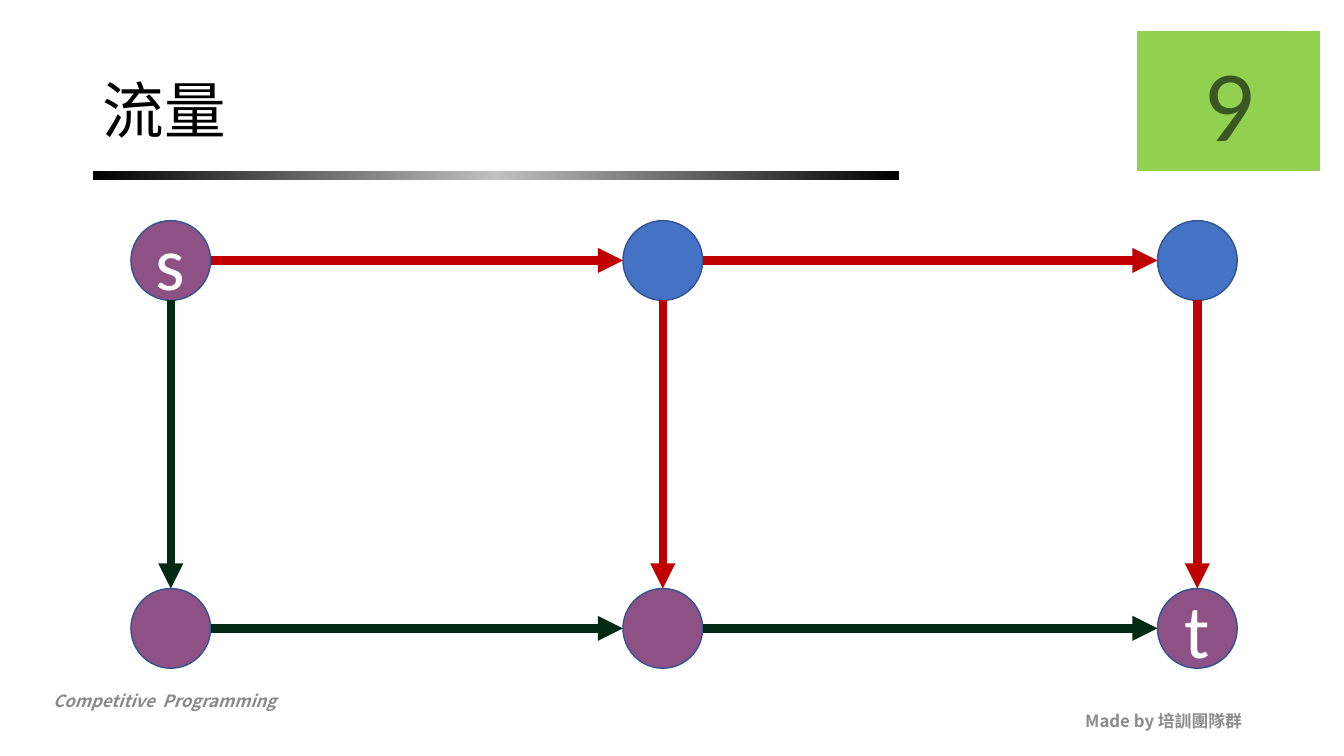
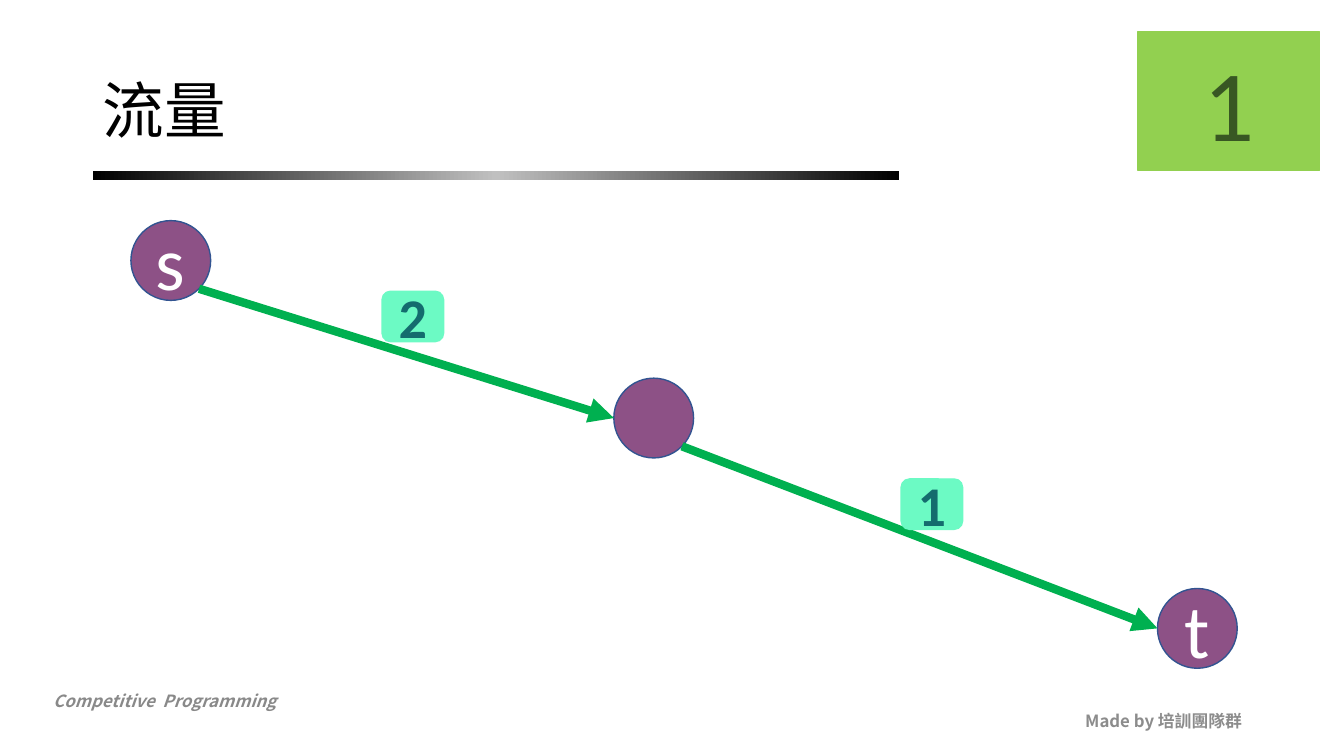
from copy import deepcopy
from dataclasses import dataclass

from lxml.etree import SubElement
from pptx import Presentation
from pptx.dml.color import RGBColor
from pptx.enum.shapes import MSO_CONNECTOR, MSO_SHAPE
from pptx.enum.text import MSO_ANCHOR, MSO_AUTO_SIZE, PP_ALIGN
from pptx.oxml.ns import qn
from pptx.util import Cm, Pt


@dataclass(frozen=True)
class Theme:
    latin: str = "Calibri"
    cjk: str = "Noto Sans CJK SC"
    black: str = "000000"
    silver: str = "C0C0C0"
    white: str = "FFFFFF"
    footer: str = "898989"
    credit: str = "8C8C8C"
    purple: str = "8D5186"
    blue: str = "4472C4"
    outline: str = "325491"
    red: str = "C00000"
    dark_green: str = "002A13"
    green: str = "00B050"
    badge: str = "92D050"
    badge_text: str = "385723"
    label: str = "6CFAC4"
    label_text: str = "146C6E"
    title_size: int = 44
    footer_size: int = 12
    node_size: int = 54
    label_size: int = 40
    badge_size: int = 72
    arrow_width: int = 6


theme = Theme()


def write(shape, text, size, color, font=theme.latin, align=PP_ALIGN.CENTER,
          anchor=MSO_ANCHOR.MIDDLE, bold=False, italic=False):
    frame = shape.text_frame
    frame.word_wrap = True
    frame.auto_size = MSO_AUTO_SIZE.NONE
    frame.vertical_anchor = anchor
    para = frame.paragraphs[0]
    para.alignment = align
    span = para.add_run()
    span.text = text
    span.font.size = Pt(size)
    span.font.bold = bold
    span.font.italic = italic
    span.font.color.rgb = RGBColor.from_string(color)
    span.font.name = font
    SubElement(span.font._element, qn("a:ea")).set("typeface", font)
    return para


def add_box(page, kind, place, fill, line):
    box = page.shapes.add_shape(kind, *map(Cm, place))
    box.shadow.inherit = False
    box.fill.solid()
    box.fill.fore_color.rgb = RGBColor.from_string(fill)
    box.line.color.rgb = RGBColor.from_string(line)
    box.line.width = Pt(1)
    return box


# Node grid, and the connection sites of an ellipse as fractions of its size
NODE = 2.01
LEFT, MIDDLE, RIGHT = 3.3, 15.7, 29.17
TOP, BOTTOM = 5.56, 14.83
SITES = {"top": (0, 0.5, 0), "left": (2, 0, 0.5), "bottom": (4, 0.5, 1),
         "corner": (5, 0.854, 0.854), "right": (6, 1, 0.5)}

source = ("s", LEFT, TOP, theme.purple)
sink = ("t", RIGHT, BOTTOM, theme.purple)

# Each page: badge number, nodes (text, left, top, fill),
# arrows (from node, site, to node, site, colour), labels (text, left, top)
pages = [
    ("9",
     [source,
      ("", MIDDLE, TOP, theme.blue),
      ("", RIGHT, TOP, theme.blue),
      ("", LEFT, BOTTOM, theme.purple),
      ("", MIDDLE, BOTTOM, theme.purple),
      sink],
     [(0, "right", 1, "left", theme.red),
      (1, "right", 2, "left", theme.red),
      (1, "bottom", 4, "top", theme.red),
      (2, "bottom", 5, "top", theme.red),
      (0, "bottom", 3, "top", theme.dark_green),
      (3, "right", 4, "left", theme.dark_green),
      (4, "right", 5, "left", theme.dark_green)],
     []),
    ("1",
     [source, ("", 15.47, 9.53, theme.purple), sink],
     [(0, "corner", 1, "left", theme.green),
      (1, "corner", 2, "left", theme.green)],
     [("2", 9.63, 7.34), ("1", 22.71, 12.07)]),
]

deck = Presentation()
deck.slide_width, deck.slide_height = Cm(33.87), Cm(19.05)
layout = deck.slide_layouts[5]
slides = [deck.slides.add_slide(layout) for _ in pages]

# Shared layout: only the title placeholder stays
for holder in list(layout.placeholders):
    if holder.placeholder_format.idx != 0:
        holder.element.getparent().remove(holder.element)

# Shared parts are drawn once, then moved to the layout
first = slides[0]
band = add_box(first, MSO_SHAPE.RECTANGLE, (2.34, 4.32, 20.32, 0.23),
               theme.black, theme.black)
band.line.fill.background()
band.fill.gradient()
band.fill.gradient_angle = 0
stop_list = band.element.spPr.find(".//" + qn("a:gsLst"))
stop_list.append(deepcopy(stop_list[0]))
band_colors = (theme.black, theme.silver, theme.black)
for index, (stop, color) in enumerate(zip(band.fill.gradient_stops, band_colors)):
    stop.position = index / 2
    stop.color.rgb = RGBColor.from_string(color)

footer = first.shapes.add_textbox(Cm(1.09), Cm(17.27), Cm(10.8), Cm(0.76))
write(footer, "Competitive  Programming", theme.footer_size, theme.footer, theme.cjk,
      PP_ALIGN.LEFT, MSO_ANCHOR.TOP, bold=True, italic=True)
credit = first.shapes.add_textbox(Cm(23.93), Cm(17.65), Cm(7.62), Cm(1.02))
write(credit, "Made by 培訓團隊群", theme.footer_size, theme.credit, theme.cjk,
      PP_ALIGN.RIGHT, bold=True)
for part in (band, footer, credit):
    layout.shapes.element.append(part.element)

for page, (number, nodes, arrows, labels) in zip(slides, pages):
    # Title and badge
    title = page.shapes.title
    title.left, title.top, title.width, title.height = map(Cm, (2.34, 1.02, 29.21, 3.68))
    para = write(title, "流量", theme.title_size, theme.black, theme.cjk, PP_ALIGN.LEFT)
    para.line_spacing = 0.9
    badge = add_box(page, MSO_SHAPE.RECTANGLE, (28.68, 0.79, 4.57, 3.51),
                    theme.badge, theme.badge)
    write(badge, number, theme.badge_size, theme.badge_text)

    # Nodes
    circles = []
    for text, left, top, fill in nodes:
        circle = add_box(page, MSO_SHAPE.OVAL, (left, top, NODE, NODE), fill, theme.outline)
        if text:
            write(circle, text, theme.node_size, theme.white)
        circles.append(circle)

    # Arrows, joined to the connection sites of the circles
    for start, start_site, end, end_site, color in arrows:
        ends = []
        for node, site in ((start, start_site), (end, end_site)):
            circle = circles[node]
            site_index, across, down = SITES[site]
            ends.append((circle.shape_id, site_index,
                         int(circle.left + across * circle.width),
                         int(circle.top + down * circle.height)))
        arrow = page.shapes.add_connector(MSO_CONNECTOR.STRAIGHT, *ends[0][2:], *ends[1][2:])
        arrow.line.color.rgb = RGBColor.from_string(color)
        arrow.line.width = Pt(theme.arrow_width)
        properties = arrow.element.spPr
        SubElement(properties.find(qn("a:ln")), qn("a:tailEnd")).set("type", "triangle")
        SubElement(properties, qn("a:effectLst"))
        joints = arrow.element.find(".//" + qn("p:cNvCxnSpPr"))
        for tag, (shape_id, site_index, *_) in zip(("a:stCxn", "a:endCxn"), ends):
            joint = SubElement(joints, qn(tag))
            joint.set("id", str(shape_id))
            joint.set("idx", str(site_index))

    # Flow labels
    for text, left, top in labels:
        label = add_box(page, MSO_SHAPE.ROUNDED_RECTANGLE, (left, top, 1.55, 1.27),
                        theme.label, theme.label)
        write(label, text, theme.label_size, theme.label_text, bold=True)

deck.save("out.pptx")
